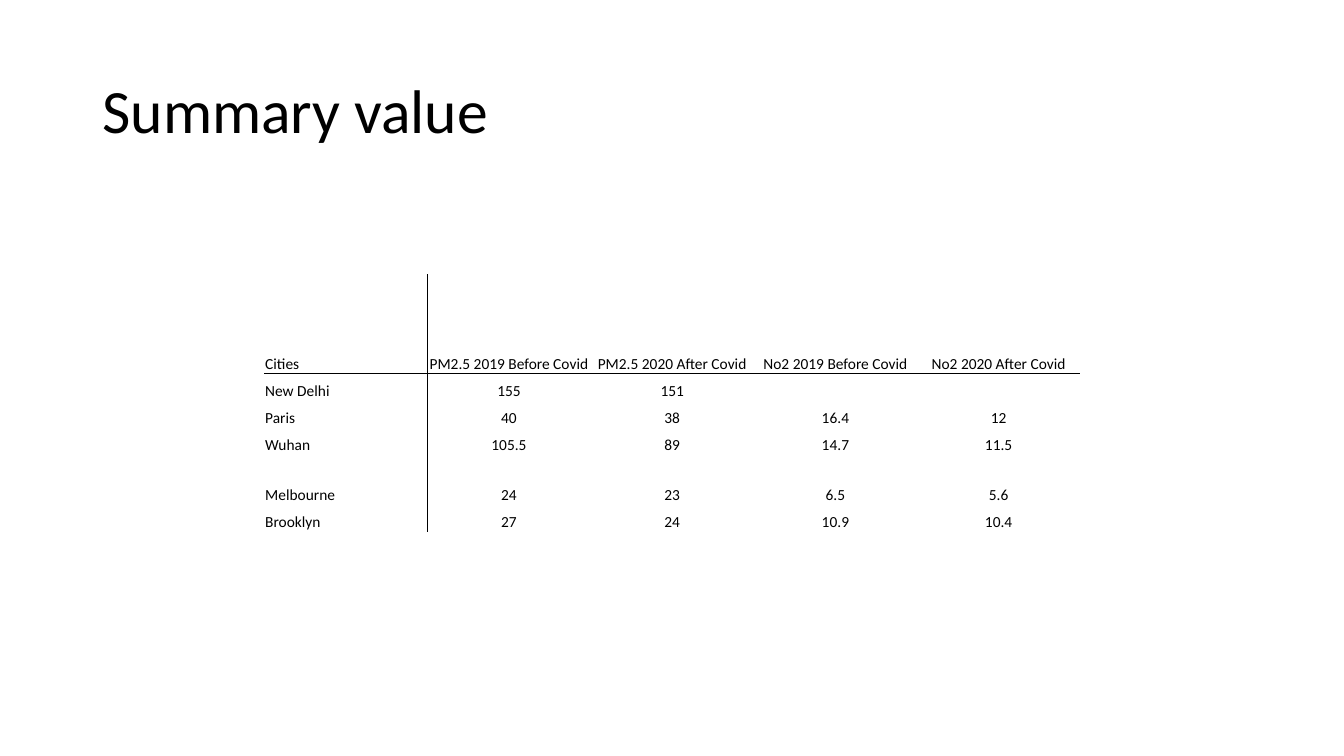
from dataclasses import dataclass

from lxml.etree import SubElement
from pptx import Presentation
from pptx.dml.color import RGBColor
from pptx.enum.text import MSO_ANCHOR as Anchor, PP_ALIGN as Align
from pptx.oxml.ns import qn
from pptx.util import Pt

TITLE = "Summary value"
HEADINGS = ("Cities", "PM2.5 2019 Before Covid", "PM2.5 2020 After Covid",
            "No2 2019 Before Covid", "No2 2020 After Covid")
CITIES = [
    ("New Delhi", "155", "151", "", ""),
    ("Paris", "40", "38", "16.4", "12"),
    ("Wuhan", "105.5", "89", "14.7", "11.5"),
    ("Melbourne", "24", "23", "6.5", "5.6"),
    ("Brooklyn", "27", "24", "10.9", "10.4"),
]
TALL_ROWS = {"Cities": 71, "Melbourne": 35.8}
CITY_ROW = 19.3
COLUMN = 116.6
TABLE_LEFT, TABLE_TOP = 188.7, 196
TITLE_BOX = (66, 28.75, 828, 104.4)


@dataclass(frozen=True)
class Theme:
    """Font, sizes and ink used on the slide."""
    font: str = "Calibri"
    title: float = 44
    body: float = 11
    ink: str = "000000"
    rule: float = 1


THEME = Theme()


def write(paragraph, text, size):
    """Add one styled run to a paragraph."""
    run = paragraph.add_run()
    run.text = text
    run.font.name = THEME.font
    run.font.size = Pt(size)
    run.font.bold = False
    run.font.color.rgb = RGBColor.from_string(THEME.ink)


def draw_borders(cell, ruled):
    """Rule the named sides (L, R, T, B) of a cell and clear the others."""
    properties = cell._tc.get_or_add_tcPr()
    for side in "LRTB":
        line = SubElement(properties, qn(f"a:ln{side}"), w=str(Pt(THEME.rule)))
        if side in ruled:
            fill = SubElement(line, qn("a:solidFill"))
            SubElement(fill, qn("a:srgbClr"), val=THEME.ink)
        else:
            SubElement(line, qn("a:noFill"))


def ruled_sides(row, column):
    """Give the sides touching the rule below the headings or beside the cities."""
    return {0: "R", 1: "L"}.get(column, "") + {0: "B", 1: "T"}.get(row, "")


def fill_cell(cell, text, row, column):
    """Write and format one table cell."""
    cell.margin_left = cell.margin_right = cell.margin_top = Pt(0.72)
    cell.margin_bottom = Pt(0)
    cell.vertical_anchor = Anchor.BOTTOM
    paragraph = cell.text_frame.paragraphs[0]
    paragraph.alignment = Align.CENTER if column else Align.LEFT
    if text:
        write(paragraph, text, THEME.body)
    else:
        SubElement(paragraph._p, qn("a:endParaRPr"), sz=str(THEME.body * 100))
    draw_borders(cell, ruled_sides(row, column))
    cell.fill.background()


def add_title(slide):
    """Place the slide title in its placeholder."""
    title = slide.shapes.title
    title.left, title.top, title.width, title.height = map(Pt, TITLE_BOX)
    title.text_frame.vertical_anchor = Anchor.MIDDLE
    heading = title.text_frame.paragraphs[0]
    heading.alignment = Align.LEFT
    heading.line_spacing = 0.9
    write(heading, TITLE, THEME.title)


def add_summary(slide):
    """Build the table of values by city."""
    rows = [HEADINGS, *CITIES]
    heights = [TALL_ROWS.get(values[0], CITY_ROW) for values in rows]
    summary = slide.shapes.add_table(
        len(rows), len(HEADINGS), Pt(TABLE_LEFT), Pt(TABLE_TOP),
        Pt(COLUMN * len(HEADINGS)), Pt(sum(heights))).table
    summary.first_row = summary.horz_banding = False
    for column in summary.columns:
        column.width = Pt(COLUMN)
    for row, (values, height) in enumerate(zip(rows, heights)):
        summary.rows[row].height = Pt(height)
        for column, text in enumerate(values):
            fill_cell(summary.cell(row, column), text, row, column)


deck = Presentation()
deck.slide_width, deck.slide_height = Pt(960), Pt(540)
slide = deck.slides.add_slide(deck.slide_layouts[5])
add_title(slide)
add_summary(slide)
deck.save("out.pptx")
